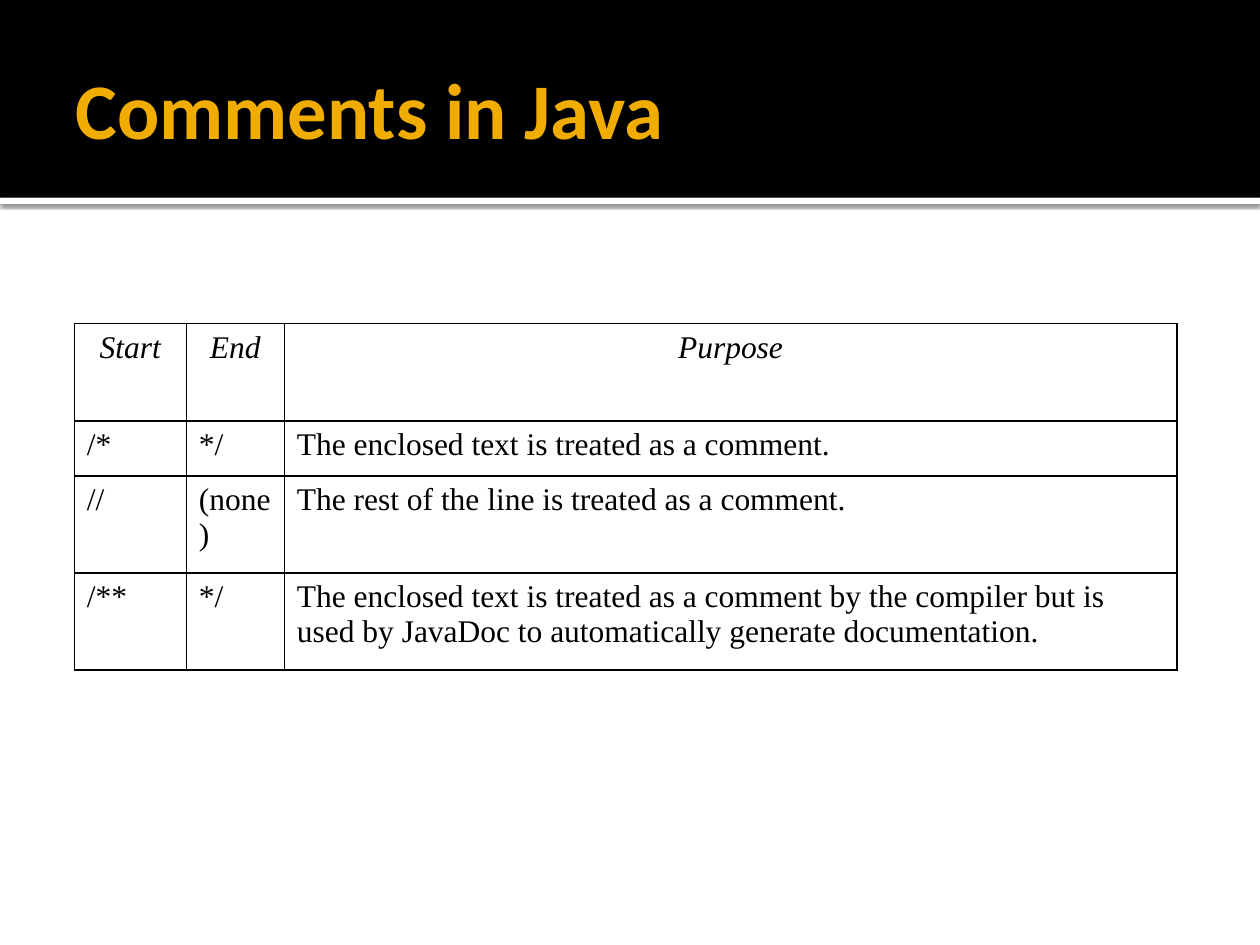
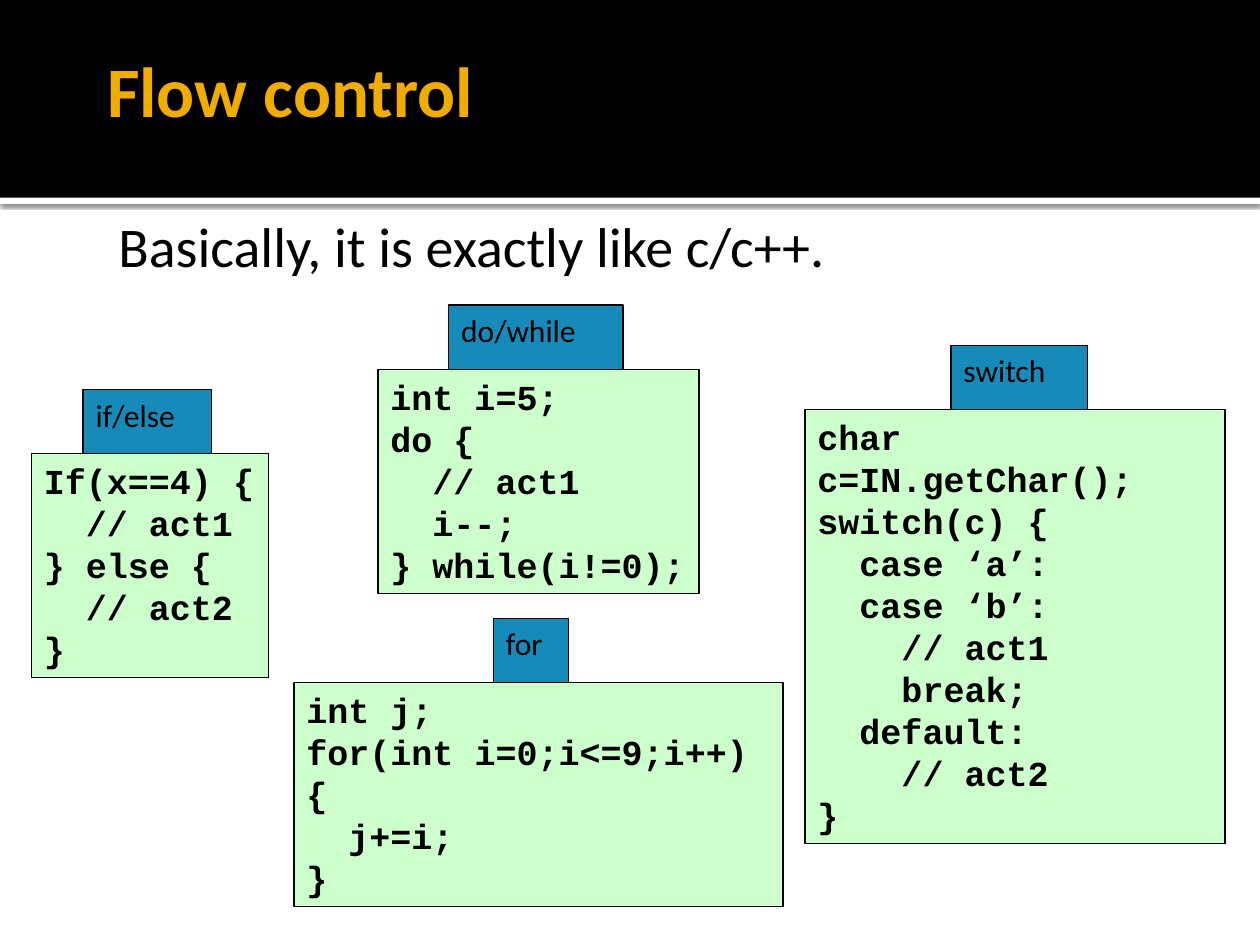
from lxml.etree import SubElement
from pptx import Presentation
from pptx.dml.color import RGBColor
from pptx.enum.shapes import MSO_SHAPE
from pptx.enum.text import MSO_ANCHOR, MSO_AUTO_SIZE, PP_ALIGN
from pptx.oxml import parse_xml
from pptx.oxml.ns import nsdecls, qn
from pptx.util import Pt

THEME = {
    "black": RGBColor(0, 0, 0),
    "white": RGBColor(255, 255, 255),
    "gold": RGBColor(0xF0, 0xAD, 0x00),
    "blue": RGBColor(0x16, 0x8B, 0xBA),
    "green": RGBColor(0xCC, 0xFF, 0xCC),
    "title": {"name": "Calibri", "size": Pt(45), "bold": True},
    "small title": {"name": "Calibri", "size": Pt(40.5), "bold": True},
    "body": {"name": "Calibri", "size": Pt(32)},
    "label": {"name": "Calibri", "size": Pt(18)},
    "code": {"name": "Courier New", "size": Pt(20), "bold": True},
    "table": {"name": "Times New Roman", "size": Pt(18), "bold": False, "italic": False},
    "table head": {"name": "Times New Roman", "size": Pt(18), "bold": False, "italic": True},
}


def set_values(target, values):
    for name, value in values.items():
        setattr(target, name, value)


def write(text_frame, lines, style, color="black", align=PP_ALIGN.LEFT):
    for number, line in enumerate(lines):
        paragraph = text_frame.add_paragraph() if number else text_frame.paragraphs[0]
        paragraph.add_run().text = line
        set_values(paragraph, {"alignment": align, "space_before": Pt(0)})
        for run in paragraph.runs:
            set_values(run.font, THEME[style])
            run.font.color.rgb = THEME[color]


presentation = Presentation()
set_values(presentation, {"slide_width": Pt(720), "slide_height": Pt(540)})
layouts = presentation.slide_layouts
comments_slide = presentation.slides.add_slide(layouts.get_by_name("Title Only"))
flow_slide = presentation.slides.add_slide(layouts.get_by_name("Title and Content"))

# Header band with a shadowed white edge, shared through the slide master
master_tree = presentation.slide_master.shapes.element
for position, (color, top, height) in enumerate([("white", 113, 3.6), ("black", 0, 113)]):
    band = comments_slide.shapes.add_shape(
        MSO_SHAPE.RECTANGLE, Pt(0), Pt(top), Pt(720), Pt(height))
    band.fill.solid()
    band.fill.fore_color.rgb = THEME[color]
    band.line.fill.background()
    band.shadow.inherit = False
    if color == "white":
        effects = band.element.spPr.find(qn("a:effectLst"))
        shadow = SubElement(effects, qn("a:outerShdw"), blurRad=str(Pt(2.5)),
                            dist=str(Pt(0.8)), dir="5400000", algn="tl", rotWithShape="0")
        shadow_color = SubElement(shadow, qn("a:srgbClr"), val="000000")
        SubElement(shadow_color, qn("a:alpha"), val="60000")
    band.element.nvSpPr.cNvPr.set("id", str(101 + position))
    master_tree.insert(2 + position, band.element)

# Titles
for slide, text, style, left, top, width, height in [
    (comments_slide, "Comments in Java", "title", 36, 12.24, 648, 98.64),
    (flow_slide, "Flow control", "small title", 54, 23.76, 612, 54),
]:
    title = slide.shapes.title
    set_values(title, {"left": Pt(left), "top": Pt(top),
                       "width": Pt(width), "height": Pt(height)})
    set_values(title.text_frame, {
        "auto_size": MSO_AUTO_SIZE.NONE, "vertical_anchor": MSO_ANCHOR.MIDDLE,
        "margin_left": Pt(7.2), "margin_right": Pt(3.6),
        "margin_top": Pt(3.6), "margin_bottom": Pt(3.6)})
    write(title.text_frame, [text], style, "gold")

# Table of comment styles
comment_rows = [
    ("Start", "End", "Purpose"),
    ("/*", "*/", "The enclosed text is treated as a comment."),
    ("//", "(none)", "The rest of the line is treated as a comment."),
    ("/**", "*/", "The enclosed text is treated as a comment by the compiler but is "
                  "used by JavaDoc to automatically generate documentation."),
]
table = comments_slide.shapes.add_table(
    4, 3, Pt(42.5), Pt(185), Pt(630), Pt(198)).table
set_values(table, {"first_row": False, "horz_banding": False})
for column, width in zip(table.columns, (64, 56, 510)):
    column.width = Pt(width)
for row, height in zip(table.rows, (55.5, 31.5, 55.5, 55.5)):
    row.height = Pt(height)
for row_number, texts in enumerate(comment_rows):
    style, align = ("table", PP_ALIGN.LEFT) if row_number else ("table head", PP_ALIGN.CENTER)
    for column_number, text in enumerate(texts):
        cell = table.cell(row_number, column_number)
        write(cell.text_frame, [text], style, align=align)
        cell.fill.background()
        properties = cell._tc.get_or_add_tcPr()
        for position, side in enumerate("LRTB"):
            properties.insert(position, parse_xml(
                f'<a:ln{side} {nsdecls("a")} w="{Pt(1)}"><a:solidFill>'
                f'<a:srgbClr val="{THEME["black"]}"/></a:solidFill></a:ln{side}>'))

# Introductory line
body = flow_slide.placeholders[1]
set_values(body, {"left": Pt(54), "top": Pt(113.76), "width": Pt(612), "height": Pt(54)})
set_values(body.text_frame, {
    "auto_size": MSO_AUTO_SIZE.NONE, "margin_left": Pt(4.32), "margin_top": Pt(7.2),
    "margin_right": Pt(7.2), "margin_bottom": Pt(3.6)})
body_properties = body.text_frame.paragraphs[0]._p.get_or_add_pPr()
set_values(body.text_frame, {"word_wrap": True})
body_properties.set("marL", str(Pt(34.56)))
body_properties.set("indent", str(Pt(-25.2)))
SubElement(body_properties, qn("a:buNone"))
write(body.text_frame, ["Basically, it is exactly like c/c++."], "body")

# Code samples: label, label left and width, code left, top and width, code lines
LABEL_HEIGHT = 36.7
LINE_HEIGHT = 24
samples = [
    ("if/else", 47.5, 73.5, 18, 259.2, 135.5,
     ["If(x==4) {", "  // act1", "} else {", "  // act2", "}"]),
    ("do/while", 256.5, 99.5, 216, 211, 183.5,
     ["int i=5;", "do {", "  // act1", "  i--;", "} while(i!=0);"]),
    ("for", 282, 43, 168, 390, 279.5,
     ["int j;", "for(int i=0;i<=9;i++)", "{", "  j+=i;", "}"]),
    ("switch", 543.5, 78, 460, 234, 240,
     ["char c=IN.getChar();", "switch(c) {", "  case ‘a’:", "  case ‘b’:",
      "    // act1", "    break;", "  default:", "    // act2", "}"]),
]
for label, label_left, label_width, left, top, width, code in samples:
    wrapped_lines = 1 if label == "switch" else 0
    code_height = LINE_HEIGHT * (len(code) + wrapped_lines) + 8
    for lines, style, color, box in [
        ([label], "label", "blue", (label_left, top - LABEL_HEIGHT, label_width, LABEL_HEIGHT)),
        (code, "code", "green", (left, top, width, code_height)),
    ]:
        shape = flow_slide.shapes.add_shape(MSO_SHAPE.RECTANGLE, *map(Pt, box))
        shape.shadow.inherit = False
        shape.fill.solid()
        shape.fill.fore_color.rgb = THEME[color]
        shape.line.color.rgb = THEME["black"]
        shape.line.width = Pt(0.75)
        set_values(shape.text_frame, {"word_wrap": True, "vertical_anchor": MSO_ANCHOR.TOP})
        write(shape.text_frame, lines, style)

presentation.save("out.pptx")
